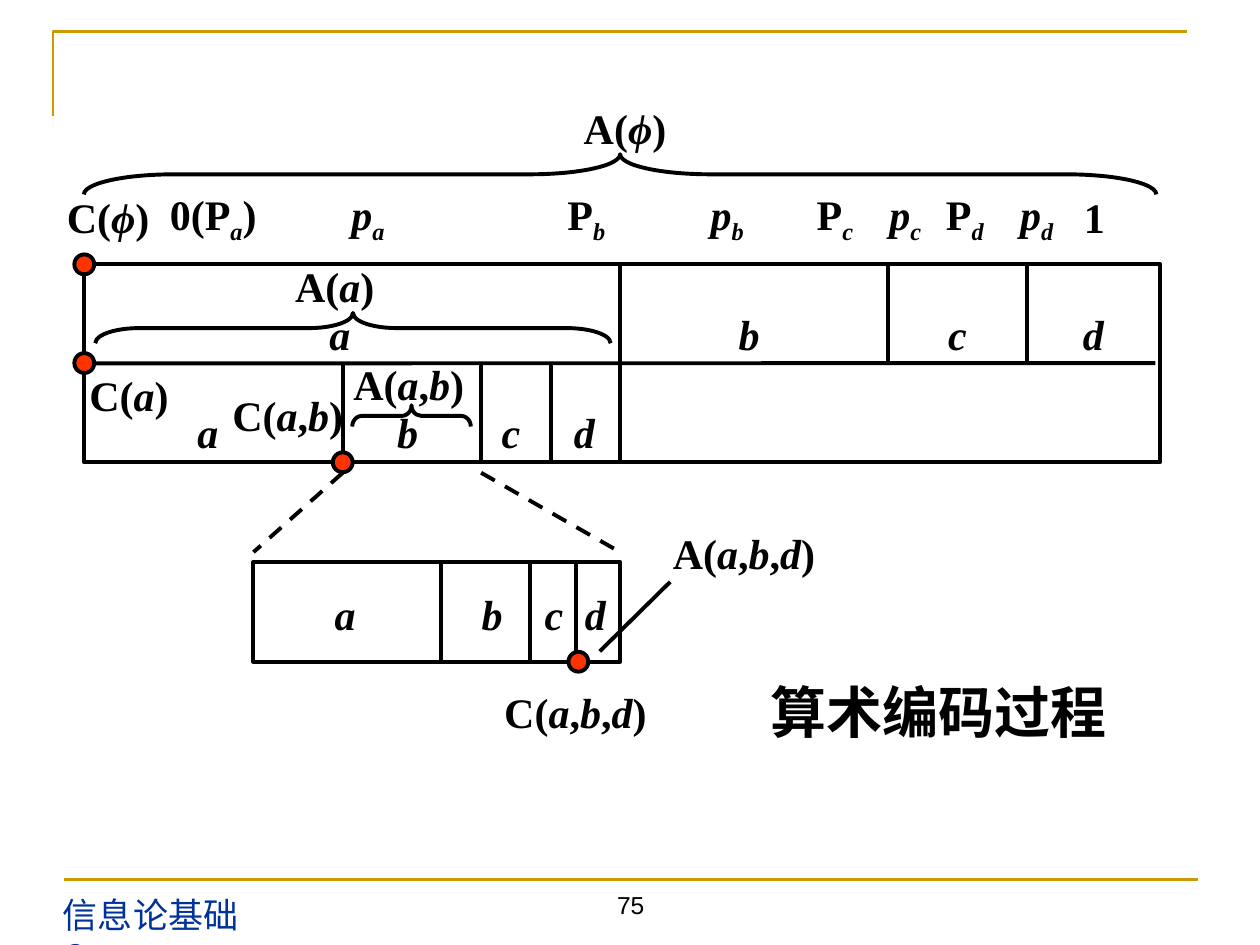
from dataclasses import dataclass
from itertools import groupby

import pptx
import pptx.dml.color
import pptx.enum.dml
import pptx.enum.shapes
import pptx.enum.text
import pptx.oxml
import pptx.oxml.ns
import pptx.util

Cm = pptx.util.Cm
Pt = pptx.util.Pt
SHAPE = pptx.enum.shapes.MSO_SHAPE
ALIGN = pptx.enum.text.PP_ALIGN
ANCHOR = pptx.enum.text.MSO_ANCHOR


@dataclass(frozen=True)
class Theme:
    ink: str = "000000"
    gold: str = "CC9900"
    navy: str = "003399"
    dot: str = "FF3300"
    math: str = "Times New Roman"
    sans: str = "Arial"
    cjk: str = "Noto Sans CJK SC"
    label_pt: int = 24
    title_pt: int = 32
    footer_pt: int = 20
    number_pt: int = 14
    line_pt: float = 2.25
    rule_pt: float = 1.5


@dataclass(frozen=True)
class Line:
    x1: float
    y1: float
    x2: float
    y2: float
    dashed: bool = False


@dataclass(frozen=True)
class Box:
    x: float
    y: float
    w: float
    h: float


@dataclass(frozen=True)
class Brace:
    box: Box
    curve: float


@dataclass(frozen=True)
class LabelRow:
    y: float
    items: tuple


T = Theme()
LEFT, TOP, MIDDLE, BOTTOM = 1.7, 5.33, 7.32, 9.32
SPLIT = 12.5
FRAME = Box(LEFT, TOP, 21.69, BOTTOM - TOP)
ZOOM = Box(5.11, 11.33, SPLIT - 5.11, 2.01)
ZOOM_BOTTOM = ZOOM.y + ZOOM.h
B_START, B_END = 6.91, 9.7

LINES = (
    Line(SPLIT, TOP, SPLIT, BOTTOM),
    *(Line(x, TOP, x, MIDDLE) for x in (17.91, 20.7)),
    *(Line(x, MIDDLE, x, BOTTOM) for x in (B_START, B_END, 11.1)),
    *(Line(x, ZOOM.y, x, ZOOM_BOTTOM) for x in (8.89, 10.69, 11.61)),
    Line(B_START, 9.53, ZOOM.x, 11.13, True),
    Line(B_END, 9.53, SPLIT, 11.13, True),
    Line(12.09, 13.13, 13.51, 11.73),
)
DOTS = ((LEFT, TOP), (LEFT, MIDDLE), (11.66, ZOOM_BOTTOM), (B_START, BOTTOM))
BRACES = (
    Brace(Box(1.69, 3.11, 21.62, 0.81), 2.243),
    Brace(Box(1.92, 6.31, 10.39, 0.61), 1.445),
    Brace(Box(7.1, 8.17, 2.39, 0.43), 0.453),
)
LABELS = (
    LabelRow(2.57, (("A(ϕ)", 12.6),)),
    LabelRow(4.37, (("C(ϕ)", 2.18), ("0(P_a)", 4.3), ("p_a", 7.42), ("P_b", 11.82),
                    ("p_b", 14.66), ("P_c", 16.83), ("p_c", 18.25), ("P_d", 19.45),
                    ("p_d", 20.9), ("1", 22.06))),
    LabelRow(5.75, (("A(a)", 6.75),)),
    LabelRow(6.72, (("a", 6.85), ("b", 15.1), ("c", 19.3), ("d", 22.04))),
    LabelRow(7.73, (("A(a,b)", 8.24),)),
    LabelRow(7.95, (("C(a)", 2.6),)),
    LabelRow(8.36, (("C(a,b)", 5.8),)),
    LabelRow(8.7, (("a", 4.19), ("b", 8.22), ("c", 10.3), ("d", 11.78))),
    LabelRow(11.15, (("A(a,b,d)", 15.0),)),
    LabelRow(12.37, (("a", 6.96), ("b", 9.92), ("c", 11.17), ("d", 12.0))),
    LabelRow(14.35, (("C(a,b,d)", 11.6),)),
)


def rgb(value: str):
    return pptx.dml.color.RGBColor.from_string(value)


def style_line(line, color: str = T.ink, width: float = T.line_pt) -> None:
    line.color.rgb = rgb(color)
    line.width = Pt(width)


def add_line(s, ln: Line, color: str = T.ink, width: float = T.line_pt):
    c = s.shapes.add_connector(pptx.enum.shapes.MSO_CONNECTOR.STRAIGHT,
                               Cm(ln.x1), Cm(ln.y1), Cm(ln.x2), Cm(ln.y2))
    style_line(c.line, color, width)
    if ln.dashed:
        c.line.dash_style = pptx.enum.dml.MSO_LINE.DASH
    c._element.spPr.append(pptx.oxml.parse_xml(
        f"<a:effectLst {pptx.oxml.ns.nsdecls('a')}/>"))
    return c


def add_shape(s, kind, box: Box, fill: str = ""):
    sp = s.shapes.add_shape(kind, Cm(box.x), Cm(box.y), Cm(box.w), Cm(box.h))
    sp.shadow.inherit = False
    if fill:
        sp.fill.solid()
        sp.fill.fore_color.rgb = rgb(fill)
    else:
        sp.fill.background()
    style_line(sp.line)
    return sp


def add_brace(s, brace: Brace) -> None:
    b = brace.box
    upright = Box(b.x + (b.w - b.h) / 2, b.y + (b.h - b.w) / 2, b.h, b.w)
    sp = add_shape(s, SHAPE.LEFT_BRACE, upright)
    sp.rotation = 90
    sp.adjustments[0] = brace.curve


def add_run(p, text: str, color: str = T.ink, **formats):
    r = p.add_run()
    r.text = text
    r.font.color.rgb = rgb(color)
    for name, value in formats.items():
        setattr(r.font, name, value)
    ea = pptx.oxml.parse_xml(
        f"<a:ea {pptx.oxml.ns.nsdecls('a')} typeface=\"{T.cjk}\"/>")
    r.font._element.find(pptx.oxml.ns.qn("a:latin")).addnext(ea)
    return r


def set_frame(sp, align, anchor, inset: float):
    tf = sp.text_frame
    margins = dict.fromkeys(
        ("margin_left", "margin_right", "margin_top", "margin_bottom"), Cm(inset))
    formats = {"word_wrap": True, "vertical_anchor": anchor,
               "auto_size": pptx.enum.text.MSO_AUTO_SIZE.NONE, **margins}
    for name, value in formats.items():
        setattr(tf, name, value)
    tf.paragraphs[0].alignment = align
    return tf.paragraphs[0]


def add_text(s, box: Box, align, anchor, inset: float = 0):
    sp = s.shapes.add_textbox(Cm(box.x), Cm(box.y), Cm(box.w), Cm(box.h))
    return set_frame(sp, align, anchor, inset)


def add_label(s, text: str, x: float, y: float) -> None:
    p = add_text(s, Box(x - 2, y - 0.6, 4, 1.2), ALIGN.CENTER, ANCHOR.MIDDLE)
    marks = [(ch, i > 0 and text[i - 1] == "_") for i, ch in enumerate(text) if ch != "_"]
    for (italic, sub), group in groupby(marks, lambda m: (m[0].islower(), m[1])):
        r = add_run(p, "".join(ch for ch, _ in group), name=T.math,
                    size=Pt(T.label_pt), bold=True, italic=italic)
        if sub:
            r.font._element.set("baseline", "-25000")


def add_page_frame(s) -> None:
    fb = s.shapes.build_freeform(Cm(1.07), Cm(2.34))
    fb.add_line_segments([(Cm(1.07), Cm(0.64)), (Cm(23.93), Cm(0.64))], close=False)
    corner = fb.convert_to_shape()
    corner.shadow.inherit = False
    corner.fill.background()
    style_line(corner.line, T.gold, T.rule_pt)
    add_line(s, Line(1.3, 17.73, 24.16, 17.73), T.gold, T.rule_pt)
    p = add_text(s, Box(1.02, 17.88, 4.35, 1.12), ALIGN.LEFT, ANCHOR.TOP, 0.25)
    p._parent.margin_top = Cm(0.13)
    add_run(p, "信息论基础C", T.navy, name=T.cjk, size=Pt(T.footer_pt))
    p = add_text(s, Box(8.69, 17.35, 8.05, 1.32), ALIGN.CENTER, ANCHOR.BOTTOM, 0.13)
    add_run(p, "75", name=T.sans, size=Pt(T.number_pt))


def main() -> None:
    prs = pptx.Presentation()
    prs.slide_width, prs.slide_height = Cm(25.4), Cm(19.05)
    s = prs.slides.add_slide(prs.slide_layouts[5])
    add_page_frame(s)
    frame = add_shape(s, SHAPE.RECTANGLE, FRAME)
    add_shape(s, SHAPE.RECTANGLE, ZOOM)
    add_line(s, Line(LEFT, MIDDLE, 23.29, MIDDLE)).begin_connect(frame, 1)
    for ln in LINES:
        add_line(s, ln)
    for x, y in DOTS:
        add_shape(s, SHAPE.OVAL, Box(x - 0.2, y - 0.2, 0.4, 0.4), T.dot)
    for brace in BRACES:
        add_brace(s, brace)
    for row in LABELS:
        for text, x in row.items:
            add_label(s, text, x, row.y)
    title = s.shapes.title
    place = {"left": 14.71, "top": 13.54, "width": 8.41, "height": 1.6}
    for name, value in place.items():
        setattr(title, name, Cm(value))
    p = set_frame(title, ALIGN.CENTER, ANCHOR.MIDDLE, 0.13)
    add_run(p, "算术编码过程", name=T.sans, size=Pt(T.title_pt), bold=True)
    prs.save("out.pptx")


if __name__ == "__main__":
    main()
